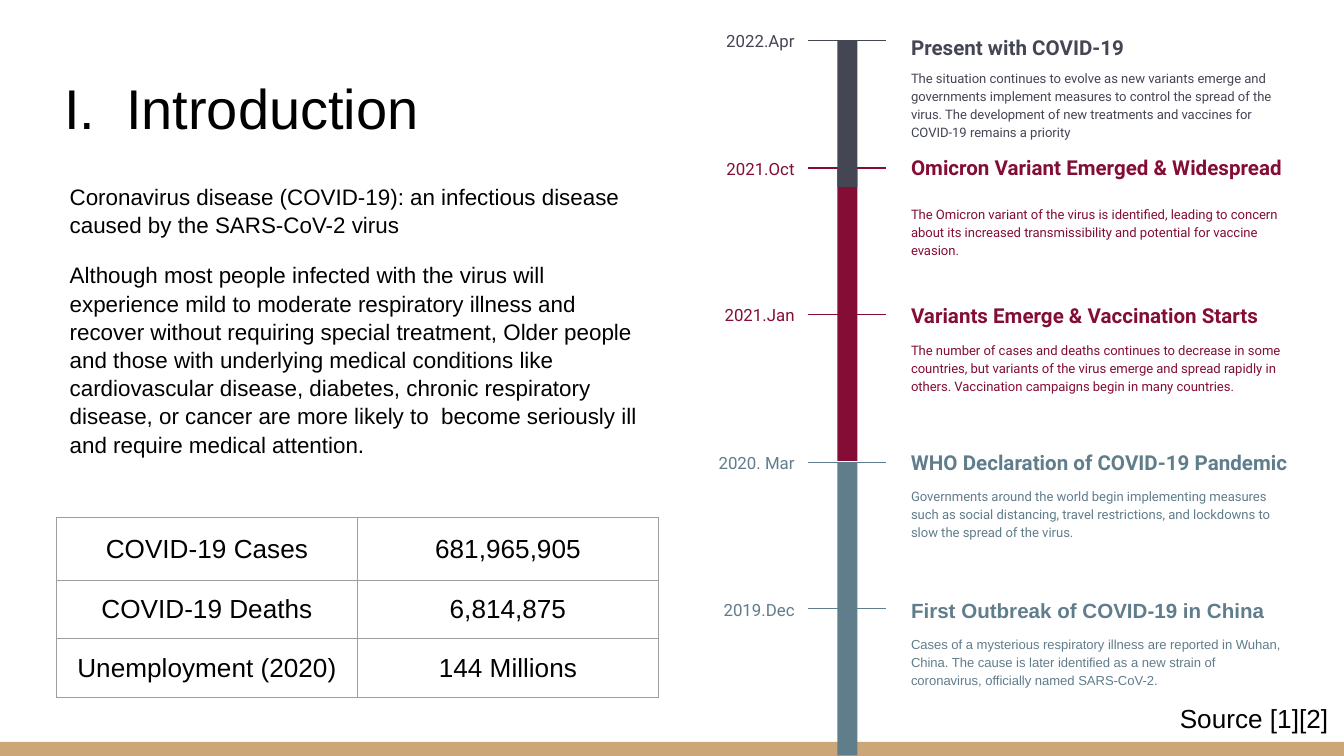
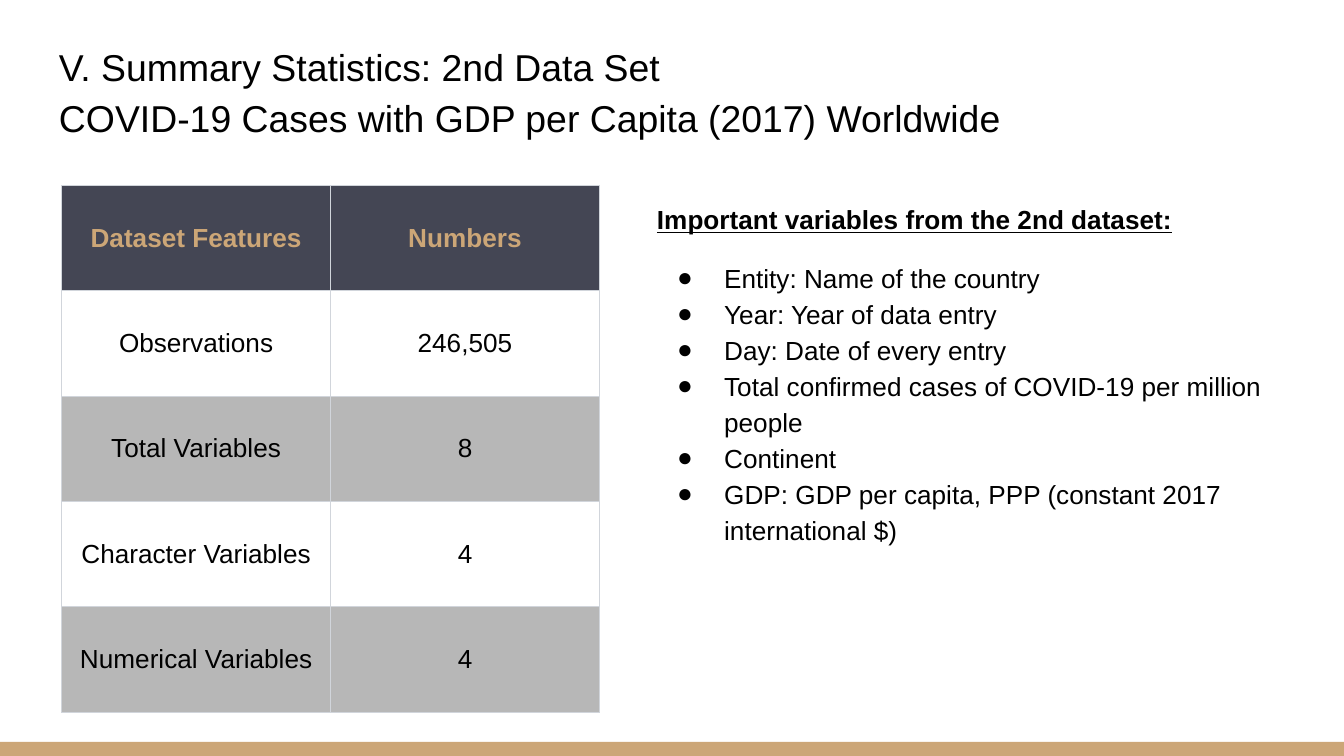
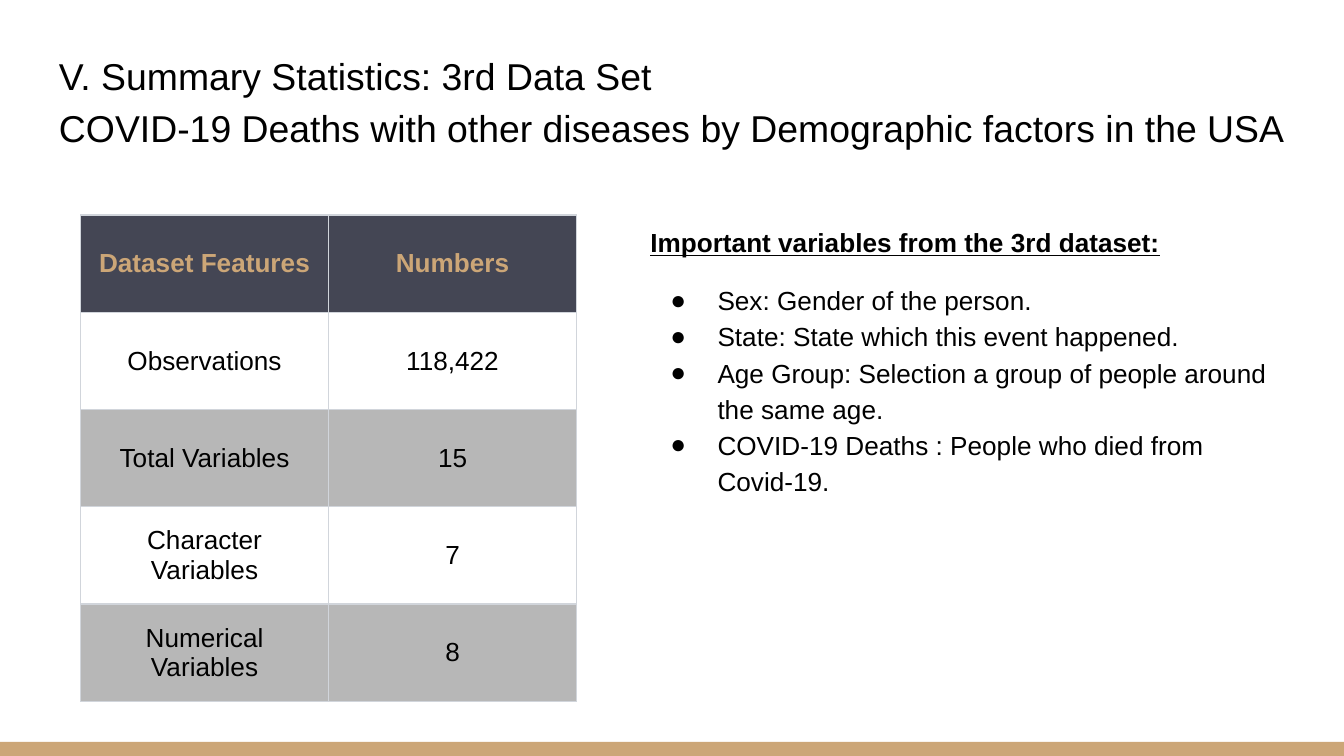
from collections import namedtuple
from dataclasses import dataclass

from lxml import etree
from pptx import Presentation
from pptx.dml.color import RGBColor
from pptx.enum.shapes import MSO_CONNECTOR, MSO_SHAPE
from pptx.enum.text import MSO_ANCHOR, PP_ALIGN
from pptx.oxml.ns import qn
from pptx.util import Inches, Pt

STRAIGHT = MSO_CONNECTOR.STRAIGHT
RECTANGLE = MSO_SHAPE.RECTANGLE
TOP, MIDDLE, BOTTOM = MSO_ANCHOR.TOP, MSO_ANCHOR.MIDDLE, MSO_ANCHOR.BOTTOM
CENTER, RIGHT = PP_ALIGN.CENTER, PP_ALIGN.RIGHT


@dataclass(frozen=True)
class Theme:
    font: str = "Arial"
    timeline_font: str = "Roboto"
    black: str = "000000"
    white: str = "FFFFFF"
    gold: str = "CCA677"
    slate: str = "444654"
    crimson: str = "840D35"
    steel: str = "607D8B"
    stripe: str = "B7B7B7"
    grid: str = "9E9E9E"
    pale_grid: str = "D1D5DB"
    section_size: int = 30
    title_size: int = 20
    text_size: int = 14
    body_size: int = 12
    heading_size: int = 11
    date_size: int = 9
    detail_size: int = 7
    line_width: float = 0.75
    inset: float = 0.1


THEME = Theme()
SLIDE_WIDTH = 10
SLIDE_HEIGHT = SLIDE_WIDTH * 9 / 16
BAND_TOP = 5.52
STEP_HEIGHT = 1.09

Event = namedtuple(
    "Event",
    "date top heading_top heading detail_top detail_height detail color font heading_width",
    defaults=(THEME.timeline_font, 2.98),
)

# Oldest first, so that later steps lie on top
EVENTS = [
    Event("2019.Dec", 4.53, 4.32, "First Outbreak of COVID-19 in China", 4.62, 0.56,
          "Cases of a mysterious respiratory illness are reported in Wuhan, China. "
          "The cause is later identified as a new strain of coronavirus, "
          "officially named SARS-CoV-2.", THEME.steel, THEME.font),
    Event("2020. Mar", 3.44, 3.22, "WHO Declaration of COVID-19 Pandemic", 3.52, 0.45,
          "Governments around the world begin implementing measures such as social "
          "distancing, travel restrictions, and lockdowns to slow the spread of the "
          "virus.", THEME.steel, heading_width=3.16),
    Event("2021.Jan", 2.34, 2.13, "Variants Emerge & Vaccination Starts", 2.43, 0.45,
          "The number of cases and deaths continues to decrease in some countries, "
          "but variants of the virus emerge and spread rapidly in others. "
          "Vaccination campaigns begin in many countries.", THEME.crimson),
    Event("2021.Oct", 1.25, 1.03, "Omicron Variant Emerged & Widespread", 1.42, 0.63,
          "The Omicron variant of the virus is identified, leading to concern about "
          "its increased transmissibility and potential for vaccine evasion.",
          THEME.crimson),
    Event("2022.Apr", 0.3, 0.13, "Present with COVID-19", 0.41, 0.69,
          "The situation continues to evolve as new variants emerge and governments "
          "implement measures to control the spread of the virus. The development of "
          "new treatments and vaccines for COVID-19 remains a priority", THEME.slate),
]

INTRODUCTION = [
    "Coronavirus disease (COVID-19): an infectious disease caused by the SARS-CoV-2 virus",
    "Although most people infected with the virus will experience mild to moderate "
    "respiratory illness and recover without requiring special treatment, Older people "
    "and those with underlying medical conditions like cardiovascular disease, diabetes, "
    "chronic respiratory disease, or cancer are more likely to  become seriously ill "
    "and require medical attention.",
]

IMPACT_ROWS = [
    ("COVID-19 Cases", "681,965,905"),
    ("COVID-19 Deaths", "6,814,875"),
    ("Unemployment (2020)", "144 Millions"),
]

FEATURES = ["Observations", "Total Variables", "Character Variables", "Numerical Variables"]

DATA_SETS = [
    {
        "title": ["V. Summary Statistics: 2nd Data Set",
                  "COVID-19 Cases with GDP per Capita (2017) Worldwide"],
        "title_top": 0.09,
        "numbers": ["246,505", "8", "4", "4"],
        "table_box": (0.46, 1.38, 4, 3.92),
        "heading": "Important variables from the 2nd dataset:",
        "variables": ["Entity: Name of the country",
                      "Year: Year of data entry",
                      "Day: Date of every entry",
                      "Total confirmed cases of COVID-19 per million people",
                      "Continent",
                      "GDP: GDP per capita, PPP (constant 2017 international $)"],
        "variables_box": (4.79, 1.38, 4.87, 3.99),
    },
    {
        "title": ["V. Summary Statistics: 3rd Data Set",
                  "COVID-19 Deaths with other diseases by Demographic factors in the USA"],
        "title_top": 0.16,
        "numbers": ["118,422", "15", "7", "8"],
        "table_box": (0.6, 1.6, 3.69, 3.62),
        "heading": "Important variables from the 3rd dataset:",
        "variables": ["Sex: Gender of the person.",
                      "State: State which this event happened.",
                      "Age Group: Selection a group of people around the same age.",
                      "COVID-19 Deaths : People who died from Covid-19."],
        "variables_box": (4.74, 1.55, 4.98, 3.72),
    },
]


# Text
def font_format(size, color=THEME.black, name=THEME.font, **extra):
    return {"size": Pt(size), "name": name, "color": color, **extra}


def apply_format(target, values):
    for name, value in values.items():
        if name == "color":
            target.color.rgb = RGBColor.from_string(value)
        else:
            setattr(target, name, value)


def add_bullet(paragraph, hanging, tag, **attributes):
    properties = paragraph._p.get_or_add_pPr()
    properties.set("marL", str(Inches(0.5)))
    properties.set("indent", str(-Inches(hanging)))
    color = etree.SubElement(properties, qn("a:buClr"))
    etree.SubElement(color, qn("a:srgbClr"), val=THEME.black)
    etree.SubElement(properties, qn("a:buFont"), typeface=THEME.font)
    etree.SubElement(properties, qn("a:" + tag), **attributes)


def write_paragraph(paragraph, text, font, layout):
    run = paragraph.add_run()
    run.text = text
    apply_format(run.font, font)
    apply_format(paragraph, layout)


def add_text(slide, box, texts, font, anchor=TOP, **layout):
    """Add a text box and return its paragraphs."""
    frame = slide.shapes.add_textbox(*map(Inches, box)).text_frame
    margin = Inches(THEME.inset)
    apply_format(frame, {
        "word_wrap": True, "vertical_anchor": anchor,
        "margin_left": margin, "margin_right": margin,
        "margin_top": margin, "margin_bottom": margin,
    })
    for index, text in enumerate(texts):
        paragraph = frame.add_paragraph() if index else frame.paragraphs[0]
        write_paragraph(paragraph, text, font, layout)
    return frame.paragraphs


# Shapes and lines
def add_bar(slide, box, color):
    bar = slide.shapes.add_shape(RECTANGLE, *map(Inches, box))
    bar.shadow.inherit = False
    bar.fill.solid()
    bar.fill.fore_color.rgb = RGBColor.from_string(color)
    bar.line.fill.background()


def add_tick(slide, left, right, top, color):
    tick = slide.shapes.add_connector(STRAIGHT, *map(Inches, (right, top, left, top)))
    tick.line.color.rgb = RGBColor.from_string(color)
    tick.line.width = Pt(THEME.line_width)
    etree.SubElement(tick._element.spPr, qn("a:effectLst"))


# Tables
def add_borders(cell, color):
    properties = cell._tc.get_or_add_tcPr()
    for side in ("lnL", "lnR", "lnT", "lnB"):
        border = etree.SubElement(properties, qn("a:" + side), w=str(Pt(THEME.line_width)))
        fill = etree.SubElement(border, qn("a:solidFill"))
        etree.SubElement(fill, qn("a:srgbClr"), val=color)


def add_table(slide, box, rows, row_heights, border, row_style):
    """Add a centred table; row_style gives fill and font for a row index."""
    shape = slide.shapes.add_table(len(rows), len(rows[0]), *map(Inches, box))
    table = shape.table
    apply_format(table, {"first_row": False, "horz_banding": False})
    for column in table.columns:
        column.width = Inches(box[2] / len(rows[0]))
    margin = Inches(THEME.inset)
    for row_index, (texts, height) in enumerate(zip(rows, row_heights)):
        table.rows[row_index].height = Inches(height)
        fill, font = row_style(row_index)
        for column_index, text in enumerate(texts):
            cell = table.cell(row_index, column_index)
            add_borders(cell, border)
            apply_format(cell, {
                "vertical_anchor": MIDDLE, "margin_left": margin, "margin_right": margin,
                "margin_top": margin, "margin_bottom": margin,
            })
            cell.fill.solid()
            cell.fill.fore_color.rgb = RGBColor.from_string(fill)
            write_paragraph(cell.text_frame.paragraphs[0], text, font, {"alignment": CENTER})


def plain_row(row_index):
    return THEME.white, font_format(THEME.text_size)


def striped_row(row_index):
    if row_index == 0:
        return THEME.slate, font_format(THEME.text_size, THEME.gold, bold=True)
    fill = THEME.white if row_index % 2 else THEME.stripe
    return fill, font_format(THEME.text_size)


# Slides
def add_slide(presentation):
    slide = presentation.slides.add_slide(presentation.slide_layouts[6])
    add_bar(slide, (0, BAND_TOP, SLIDE_WIDTH, SLIDE_HEIGHT - BAND_TOP), THEME.gold)
    return slide


def add_event(slide, event):
    add_bar(slide, (6.23, event.top, 0.15, STEP_HEIGHT), event.color)
    add_tick(slide, 6.01, 6.59, event.top, event.color)
    add_text(slide, (6.68, event.heading_top, event.heading_width, 0.3), [event.heading],
             font_format(THEME.heading_size, event.color, event.font, bold=True),
             line_spacing=1.15)
    add_text(slide, (6.68, event.detail_top, 2.98, event.detail_height), [event.detail],
             font_format(THEME.detail_size, event.color, event.font),
             line_spacing=1.15, space_after=Pt(16))
    add_text(slide, (5.18, event.top - 0.18, 0.83, 0.38), [event.date],
             font_format(THEME.date_size, event.color, THEME.timeline_font),
             line_spacing=1.15, alignment=RIGHT)


def add_introduction_slide(presentation):
    slide = add_slide(presentation)
    title = add_text(slide, (0.34, 0.24, 4.37, 0.91), ["Introduction"],
                     font_format(THEME.section_size), BOTTOM)
    add_bullet(title[0], 0.46, "buAutoNum", type="romanUcPeriod")
    body = add_text(slide, (0.42, 1.25, 4.48, 2.4), INTRODUCTION,
                    font_format(THEME.body_size), line_spacing=1.05)
    body[1].space_before = body[1].space_after = Pt(12)
    for event in EVENTS:
        add_event(slide, event)
    add_text(slide, (8.68, 5.13, 1.32, 0.44), ["Source [1][2]"], font_format(THEME.text_size))
    add_table(slide, (0.42, 3.85, 4.48, 1.33), IMPACT_ROWS, (0.47, 0.43, 0.43),
              THEME.grid, plain_row)


def add_statistics_slide(presentation, data_set):
    slide = add_slide(presentation)
    add_text(slide, (0.34, data_set["title_top"], 9.35, 1.14), data_set["title"],
             font_format(THEME.title_size), MIDDLE, line_spacing=1.15)

    heading, *variables = add_text(
        slide, data_set["variables_box"], [data_set["heading"], *data_set["variables"]],
        font_format(THEME.text_size), line_spacing=1.15)
    apply_format(heading.runs[0].font, {"bold": True, "underline": True})
    for paragraph in variables:
        add_bullet(paragraph, 0.35, "buChar", char="●")
    variables[0].space_before = Pt(12)

    rows = [("Dataset Features", "Numbers"), *zip(FEATURES, data_set["numbers"])]
    box = data_set["table_box"]
    add_table(slide, box, rows, [box[3] / len(rows)] * len(rows), THEME.pale_grid, striped_row)


def main():
    presentation = Presentation()
    presentation.slide_width = Inches(SLIDE_WIDTH)
    presentation.slide_height = Inches(SLIDE_HEIGHT)
    add_introduction_slide(presentation)
    for data_set in DATA_SETS:
        add_statistics_slide(presentation, data_set)
    presentation.save("out.pptx")


if __name__ == "__main__":
    main()
